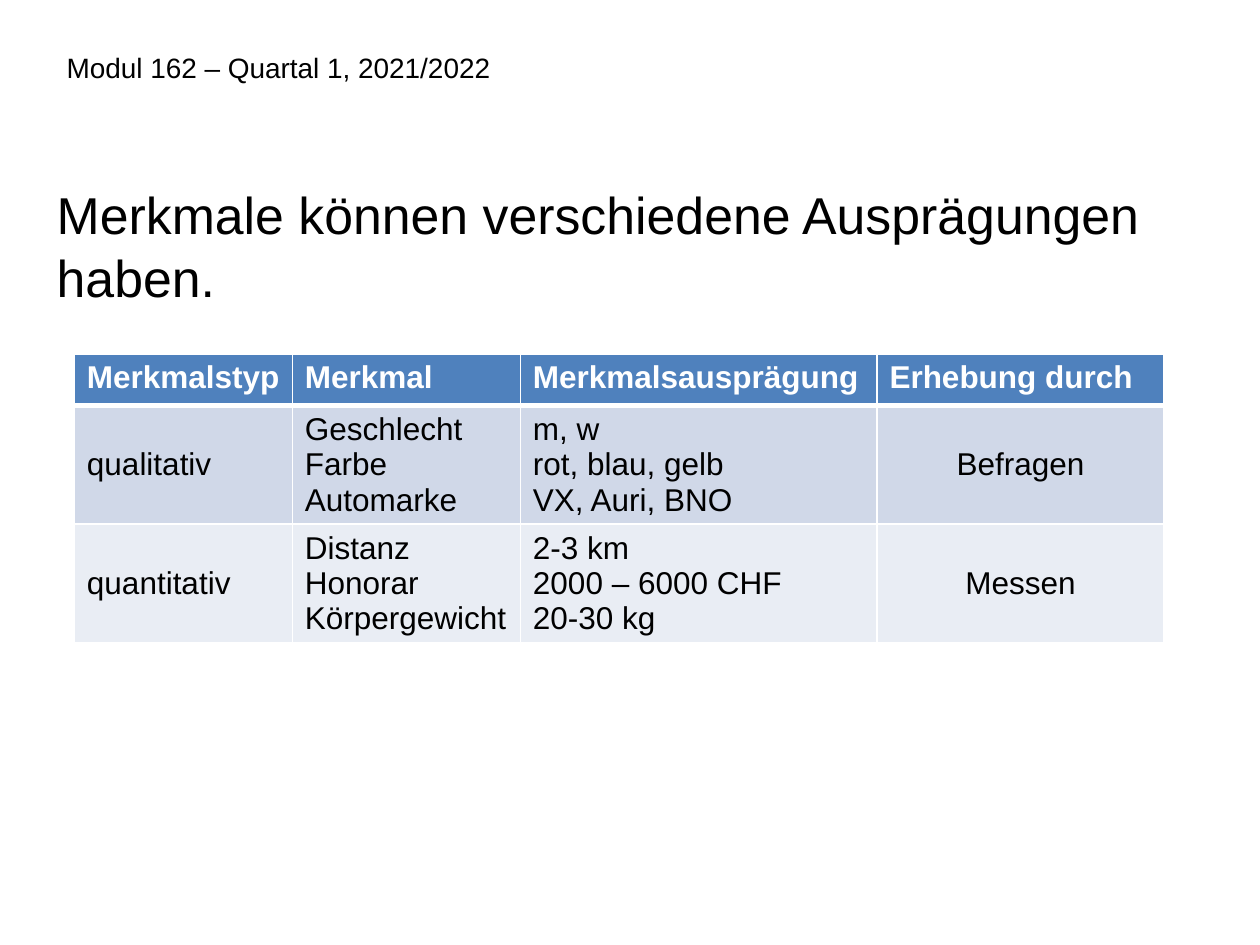
from lxml import etree
from pptx import Presentation
from pptx import util as u
from pptx.dml.color import RGBColor
from pptx.enum import text
from pptx.oxml import ns

BLACK = RGBColor(0, 0, 0)
WHITE = RGBColor(255, 255, 255)
HEADER_BLUE = RGBColor(0x4F, 0x81, 0xBD)
BANDS = (RGBColor(0xD0, 0xD8, 0xE8), RGBColor(0xE9, 0xED, 0xF4))
FONT = "Arial"

COLUMNS = (1.73, 1.81, 2.83, 2.28)
ROWS = (0.41, 0.94, 0.94)
CONTENT = (
    ("Merkmalstyp", "Merkmal", "Merkmalsausprägung", "Erhebung durch"),
    ("qualitativ", "Geschlecht\vFarbe\vAutomarke",
     "m, w\nrot, blau, gelb\nVX, Auri, BNO", "Befragen"),
    ("quantitativ", "Distanz\nHonorar\nKörpergewicht",
     "2-3 km\n2000 – 6000 CHF\n20-30 kg", "Messen"),
)


def format_text(frame, size, color=BLACK, bold=False, align=text.PP_ALIGN.LEFT, spacing=None):
    for para in frame.paragraphs:
        para.alignment = align
        if spacing:
            para.line_spacing = u.Pt(spacing)
        for span in para.runs:
            font = span.font
            font.name, font.size, font.bold = FONT, u.Pt(size), bold
            font.color.rgb = color


def fill_text_box(box, left, top, width, height, words, size, spacing):
    box.left, box.top, box.width, box.height = map(u.Inches, (left, top, width, height))
    frame = box.text_frame
    frame.text = words
    frame.word_wrap = True
    frame.auto_size = text.MSO_AUTO_SIZE.NONE
    frame.vertical_anchor = text.MSO_ANCHOR.TOP
    format_text(frame, size, spacing=spacing)


def set_borders(cell, bottom):
    properties = cell._tc.get_or_add_tcPr()
    widths = {"a:lnL": 1, "a:lnR": 1, "a:lnT": 1, "a:lnB": bottom}
    for position, (tag, points) in enumerate(widths.items()):
        line = etree.Element(ns.qn(tag), w=str(u.Pt(points)))
        fill = etree.SubElement(line, ns.qn("a:solidFill"))
        etree.SubElement(fill, ns.qn("a:srgbClr"), val=str(WHITE))
        properties.insert(position, line)


def fill_cell(cell, words, row, column):
    header = row == 0
    cell.text_frame.text = words
    cell.fill.solid()
    cell.fill.fore_color.rgb = HEADER_BLUE if header else BANDS[row - 1]
    outer = not header and column in (0, len(COLUMNS) - 1)
    cell.vertical_anchor = text.MSO_ANCHOR.MIDDLE if outer else text.MSO_ANCHOR.TOP
    centred = outer and column > 0
    format_text(cell.text_frame, 18, WHITE if header else BLACK, header,
                text.PP_ALIGN.CENTER if centred else text.PP_ALIGN.LEFT)
    set_borders(cell, bottom=3 if header else 1)


def add_feature_table(page, left, top):
    frame = page.shapes.add_table(
        len(ROWS), len(COLUMNS), u.Inches(left), u.Inches(top),
        u.Inches(sum(COLUMNS)), u.Inches(sum(ROWS)))
    table = frame.table
    for column, width in zip(table.columns, COLUMNS):
        column.width = u.Inches(width)
    for row, height in zip(table.rows, ROWS):
        row.height = u.Inches(height)
    for r, entries in enumerate(CONTENT):
        for c, words in enumerate(entries):
            fill_cell(table.cell(r, c), words, r, c)


def main():
    deck = Presentation()
    deck.slide_width, deck.slide_height = u.Inches(10), u.Inches(7.5)
    page = deck.slides.add_slide(deck.slide_layouts[5])

    # Module line
    module_line = page.shapes.add_textbox(0, 0, 0, 0)
    fill_text_box(module_line, 0.43, 0.13, 7.8, 0.67,
                  "Modul 162 – Quartal 1, 2021/2022", 16, 35)

    # Statement
    fill_text_box(page.shapes.title, 0.35, 1.39, 9.07, 1.02,
                  "Merkmale können verschiedene Ausprägungen haben.", 29.6, 36)

    # Feature types and how they are collected
    add_feature_table(page, 0.59, 2.81)
    deck.save("out.pptx")


main()
